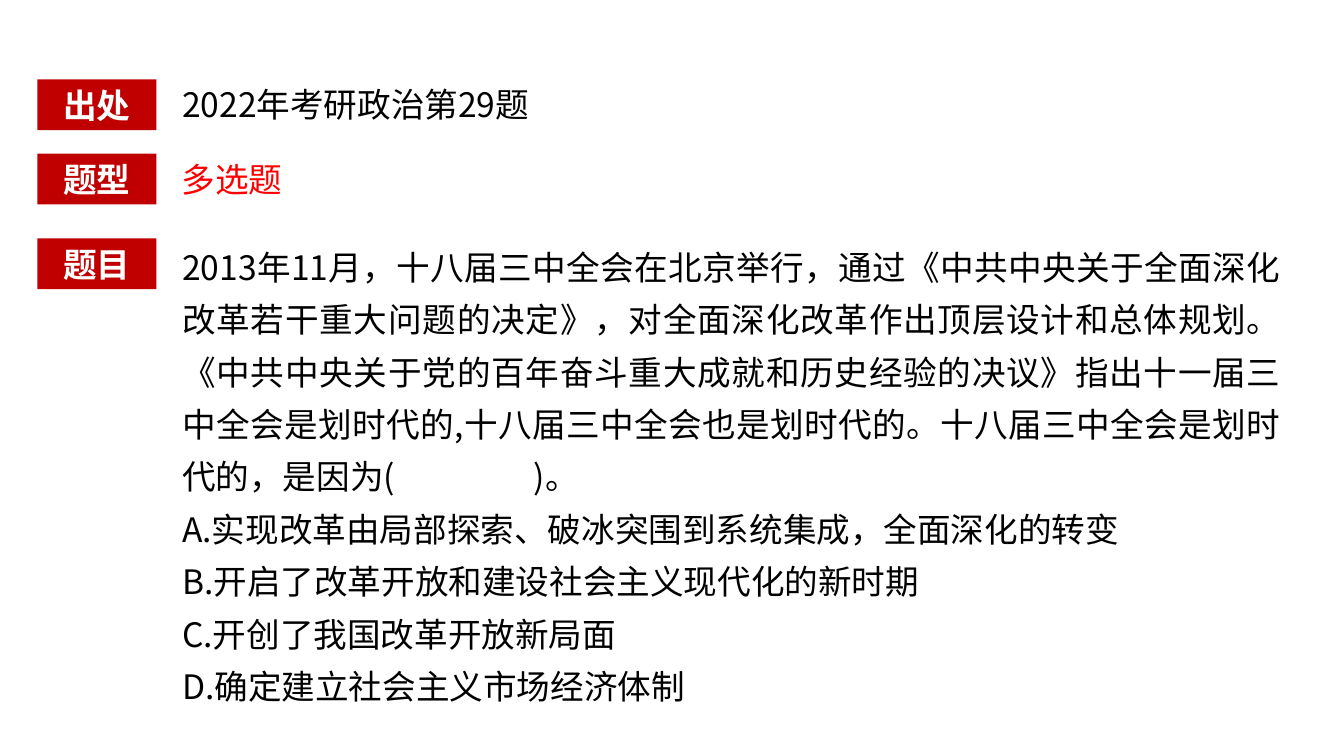
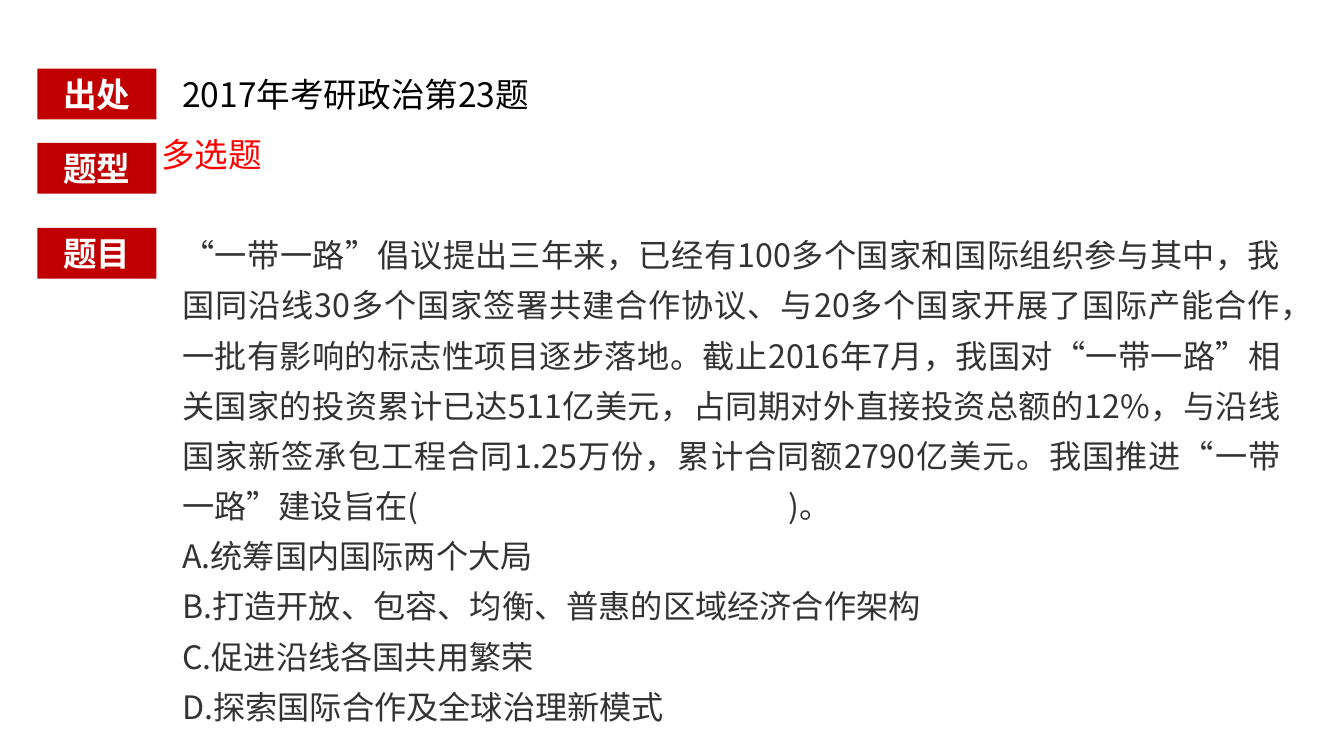
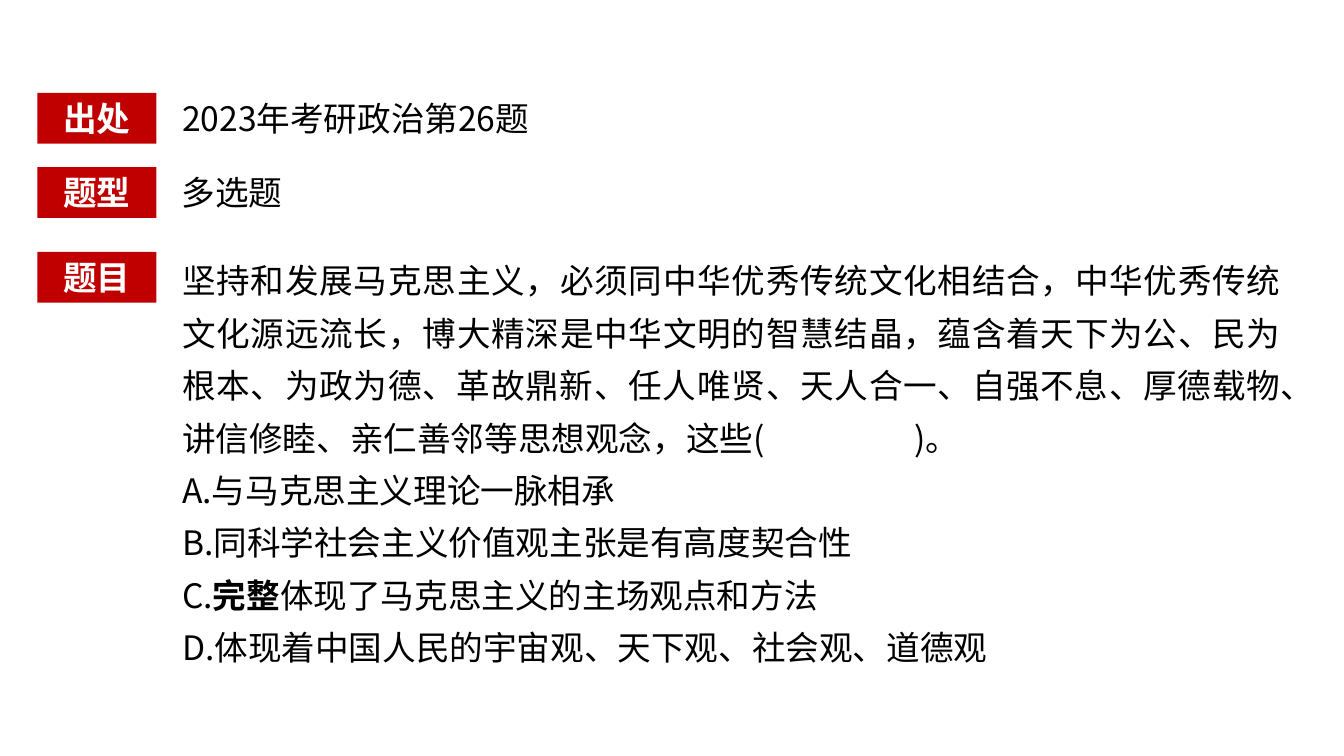
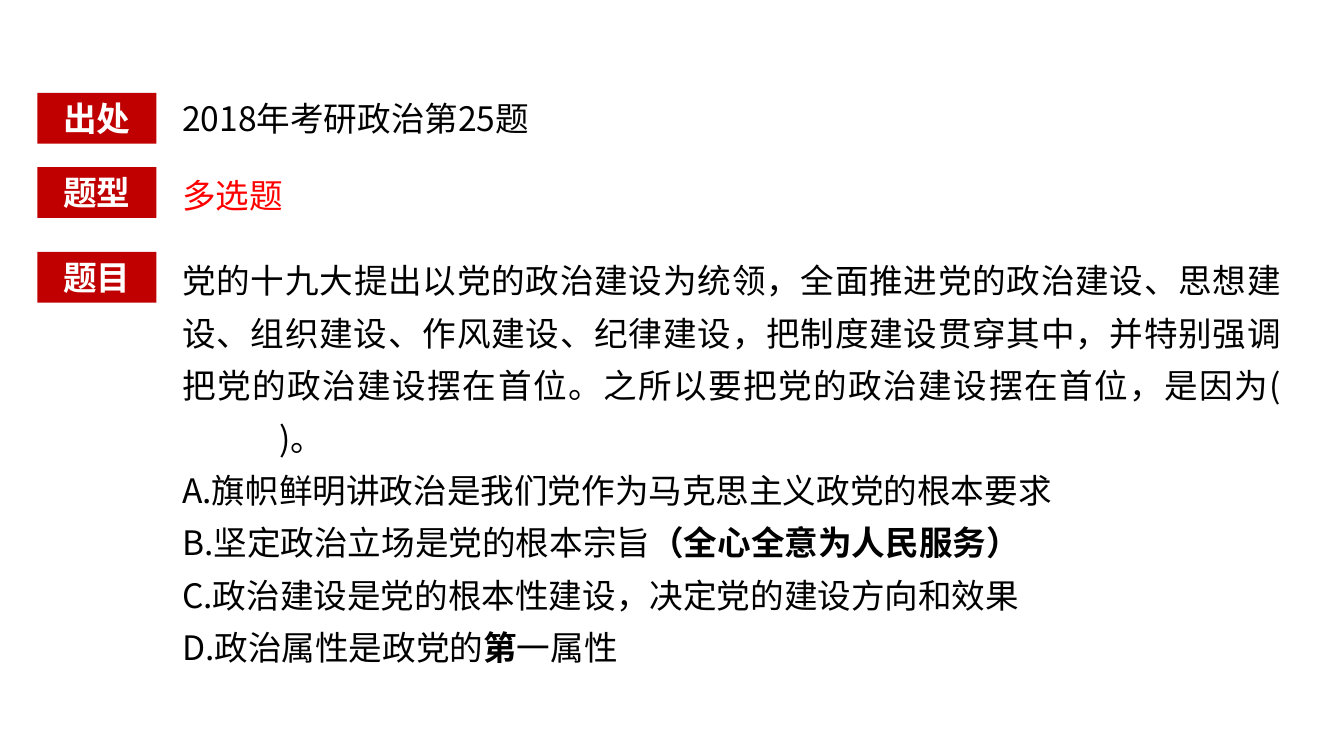
import pptx
import pptx.util
import pptx.dml.color
import pptx.enum.lang
import pptx.enum.shapes
import pptx.enum.text
import pptx.oxml
import pptx.oxml.ns

Cm = pptx.util.Cm
RGB = pptx.dml.color.RGBColor
ALIGN = pptx.enum.text.PP_ALIGN

DARK = RGB(0xC0, 0x00, 0x00)
RED = RGB(0xFF, 0x00, 0x00)
BLACK = RGB(0x00, 0x00, 0x00)
GRAY = RGB(0x33, 0x33, 0x33)
WHITE = RGB(0xFF, 0xFF, 0xFF)
FACE = "Noto Sans CJK SC"

LABELS = [("出处", 0), ("题型", 1.87), ("题目", 4.01)]
LEFT, WIDE, HIGH = 0.94, 3.0, 1.28
TEXT_X, LINE_W, BODY_W = 4.34, 23.01, 28.19
BODY_Y = 3.79

SLIDES = [
    {
        "top": 2.0, "from": "2022年考研政治第29题",
        "kind": (4.33, 1.87, RED),
        "size": 24, "ink": BLACK, "high": 12.14, "tab": 8.86,
        "ask": "2013年11月，十八届三中全会在北京举行，通过《中共中央关于全面深化改革若干重大问题的决定》，对全面深化改革作出顶层设计和总体规划。《中共中央关于党的百年奋斗重大成就和历史经验的决议》指出十一届三中全会是划时代的,十八届三中全会也是划时代的。十八届三中全会是划时代的，是因为(\t)。",
        "picks": [
            "A.实现改革由局部探索、破冰突围到系统集成，全面深化的转变",
            "B.开启了改革开放和建设社会主义现代化的新时期",
            "C.开创了我国改革开放新局面",
            "D.确定建立社会主义市场经济体制",
        ],
    },
    {
        "top": 1.73, "from": "2017年考研政治第23题",
        "kind": (3.81, 1.52, RED),
        "size": 23, "ink": GRAY, "high": 13.13, "tab": 15.28,
        "ask": "“一带一路”倡议提出三年来，已经有100多个国家和国际组织参与其中，我国同沿线30多个国家签署共建合作协议、与20多个国家开展了国际产能合作，一批有影响的标志性项目逐步落地。截止2016年7月，我国对“一带一路”相关国家的投资累计已达511亿美元，占同期对外直接投资总额的12%，与沿线国家新签承包工程合同1.25万份，累计合同额2790亿美元。我国推进“一带一路”建设旨在(\t)。",
        "picks": [
            "A.统筹国内国际两个大局",
            "B.打造开放、包容、均衡、普惠的区域经济合作架构",
            "C.促进沿线各国共用繁荣",
            "D.探索国际合作及全球治理新模式",
        ],
    },
    {
        "top": 2.34, "from": "2023年考研政治第26题",
        "kind": (4.33, 1.87, BLACK),
        "size": 24, "ink": BLACK, "high": 10.8, "tab": 18.46,
        "ask": "坚持和发展马克思主义，必须同中华优秀传统文化相结合，中华优秀传统文化源远流长，博大精深是中华文明的智慧结晶，蕴含着天下为公、民为根本、为政为德、革故鼎新、任人唯贤、天人合一、自强不息、厚德载物、讲信修睦、亲仁善邻等思想观念，这些(\t)。",
        "picks": [
            "A.与马克思主义理论一脉相承",
            "B.同科学社会主义价值观主张是有高度契合性",
            "C.*完整*体现了马克思主义的主场观点和方法",
            "D.体现着中国人民的宇宙观、天下观、社会观、道德观",
        ],
    },
    {
        "top": 2.34, "from": "2018年考研政治第25题",
        "kind": (4.34, 1.95, RED),
        "size": 24, "ink": BLACK, "high": 10.8, "tab": 2.45,
        "ask": "党的十九大提出以党的政治建设为统领，全面推进党的政治建设、思想建设、组织建设、作风建设、纪律建设，把制度建设贯穿其中，并特别强调把党的政治建设摆在首位。之所以要把党的政治建设摆在首位，是因为(\v\t)。",
        "picks": [
            "A.旗帜鲜明讲政治是我们党作为马克思主义政党的根本要求",
            "B.坚定政治立场是党的根本宗旨*（全心全意为人民服务）*",
            "C.政治建设是党的根本性建设，决定党的建设方向和效果",
            "D.政治属性是政党的*第*一属性",
        ],
    },
]


def style(obj, form):
    for key, val in form.items():
        setattr(obj, key, val)


def add_run(para, text, size, ink, bold):
    run = para.add_run()
    run.text = text
    style(run.font, {
        "name": FACE, "size": pptx.util.Pt(size), "bold": bold,
        "language_id": pptx.enum.lang.MSO_LANGUAGE_ID.SIMPLIFIED_CHINESE,
    })
    run.font.color.rgb = ink
    east = pptx.oxml.parse_xml(
        f'<a:ea {pptx.oxml.ns.nsdecls("a")} typeface="{FACE}"/>')
    run.font.fill._xPr.append(east)


def write(para, text, size, ink, bold=False, **form):
    style(para, form)
    para._p.get_or_add_pPr().set("hangingPunct", "1")
    for row, line in enumerate(text.split("\v")):
        if row:
            para.add_line_break()
        for pos, part in enumerate(line.split("*")):
            if part:
                add_run(para, part, size, ink, bold or pos % 2 == 1)


def add_tab(para, pos):
    tabs = pptx.oxml.parse_xml(
        f'<a:tabLst {pptx.oxml.ns.nsdecls("a")}>'
        f'<a:tab pos="{Cm(pos)}" algn="l"/></a:tabLst>')
    para._p.get_or_add_pPr().append(tabs)


def fit(frame):
    style(frame, {
        "word_wrap": True,
        "auto_size": pptx.enum.text.MSO_AUTO_SIZE.SHAPE_TO_FIT_TEXT,
    })
    return frame


def add_text(slide, *place):
    return fit(slide.shapes.add_textbox(*map(Cm, place)).text_frame)


def add_label(slide, text, top):
    box = slide.shapes.add_shape(
        pptx.enum.shapes.MSO_SHAPE.RECTANGLE,
        *map(Cm, (LEFT, top, WIDE, HIGH)))
    box.shadow.inherit = False
    box.fill.solid()
    box.fill.fore_color.rgb = DARK
    box.line.fill.background()
    write(fit(box.text_frame).paragraphs[0], text, 24, WHITE, True,
          alignment=ALIGN.CENTER)


def add_body(slide, data):
    frame = add_text(slide, TEXT_X, data["top"] + BODY_Y, BODY_W, data["high"])
    look = data["size"], data["ink"]
    ask = frame.paragraphs[0]
    add_tab(ask, data["tab"])
    write(ask, data["ask"], *look, alignment=ALIGN.JUSTIFY, line_spacing=1.3)
    for pick in data["picks"]:
        write(frame.add_paragraph(), pick, *look, line_spacing=1.3)


def main():
    deck = pptx.Presentation()
    style(deck, {"slide_width": Cm(33.87), "slide_height": Cm(19.05)})
    for data in SLIDES:
        slide = deck.slides.add_slide(deck.slide_layouts[6])
        top = data["top"]
        for text, drop in LABELS:
            add_label(slide, text, top + drop)
        source = add_text(slide, TEXT_X, top, LINE_W, HIGH)
        write(source.paragraphs[0], data["from"], 24, BLACK)
        left, drop, ink = data["kind"]
        kind = add_text(slide, left, top + drop, LINE_W, HIGH)
        write(kind.paragraphs[0], "多选题", 24, ink)
        add_body(slide, data)
    deck.save("out.pptx")


if __name__ == "__main__":
    main()
